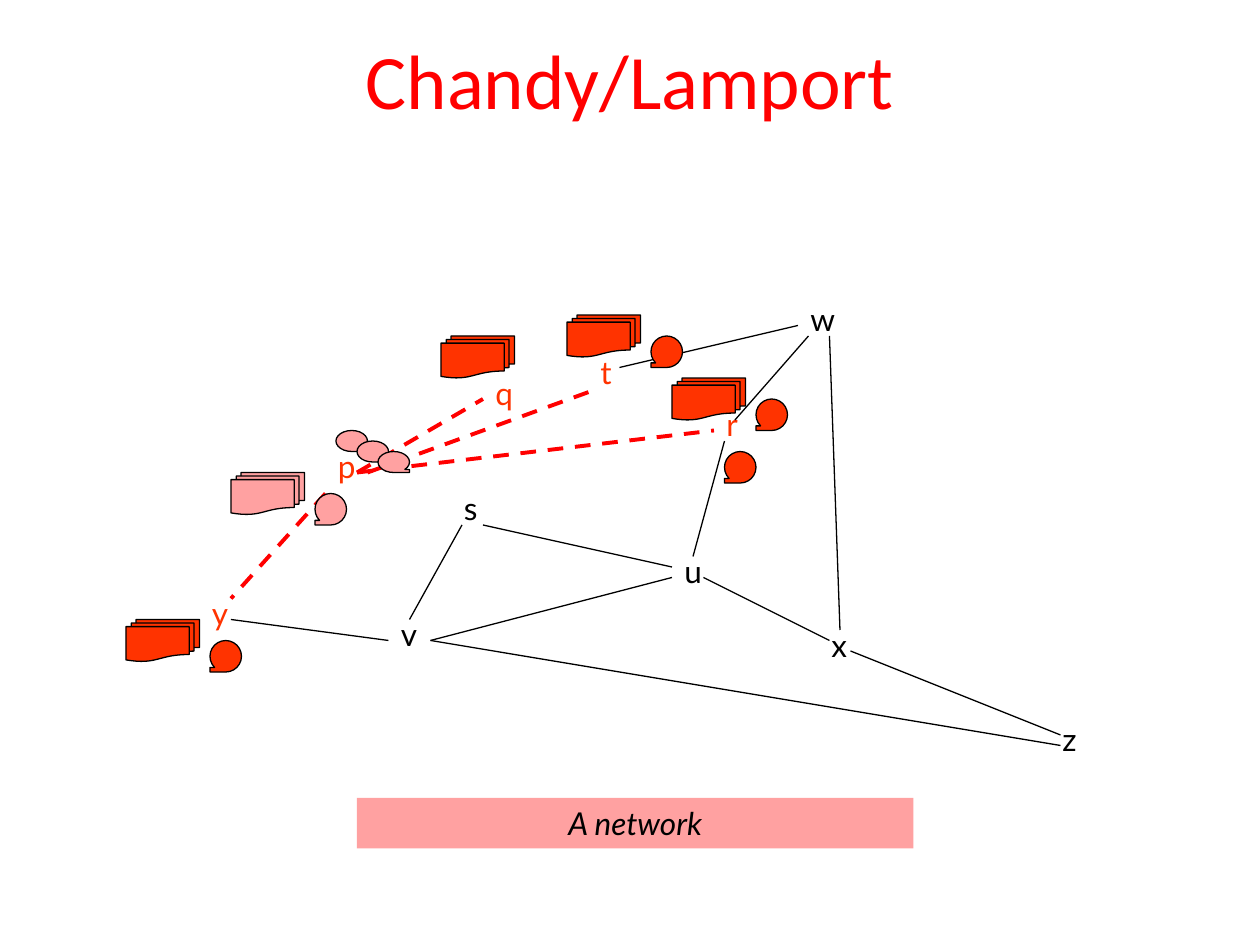
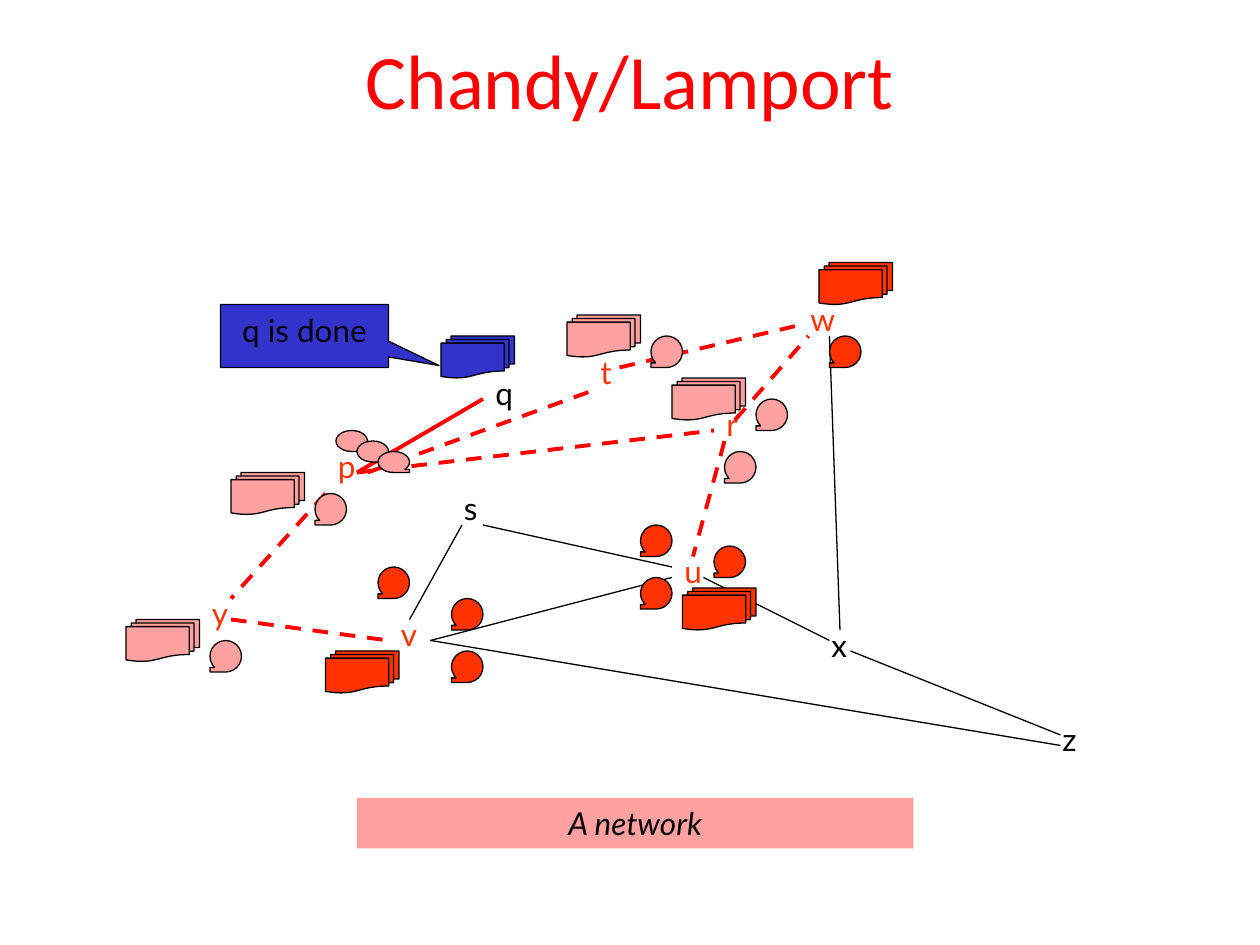
from pptx import Presentation
from pptx.util import Inches, Pt
from pptx.dml.color import RGBColor
from pptx.enum.dml import MSO_LINE
from pptx.enum.shapes import MSO_CONNECTOR, MSO_SHAPE
from pptx.enum.text import MSO_ANCHOR, PP_ALIGN
from pptx.oxml.ns import qn
from lxml import etree

TITLE_RED = RGBColor(0xFF, 0x00, 0x00)
RED = RGBColor(0xFF, 0x33, 0x00)    # node has just been reached
PINK = RGBColor(0xFF, 0xA1, 0xA1)   # node has passed the marker on
BLUE = RGBColor(0x33, 0x33, 0xCC)   # node is done
BLACK = RGBColor(0x00, 0x00, 0x00)

CELL = Inches(10) // 120  # grid of 120 columns by 90 rows

# Network on the grid: labels, and edges as x1, y1, x2, y2
NODES = {"p": (31, 42), "q": (46, 35), "r": (68, 38), "s": (43, 46),
         "t": (56, 33), "u": (64, 52), "v": (37, 58), "w": (76, 28),
         "x": (78, 59), "y": (19, 56), "z": (100, 68)}
EDGES = {"py": (31, 47, 22, 57), "yv": (22, 59, 37, 61), "sv": (44, 50, 39, 59),
         "pr": (34, 45, 68, 41), "pq": (34, 45, 46, 38), "pt": (35, 45, 57, 37),
         "rw": (70, 40, 77, 32), "ru": (69, 42, 66, 53), "vz": (41, 61, 101, 71),
         "vu": (41, 61, 64, 55), "tw": (59, 35, 76, 31), "wx": (79, 32, 80, 60),
         "ux": (67, 55, 79, 61), "su": (46, 50, 64, 54), "xz": (81, 62, 101, 70)}

# Saved states (documents) and channel records (tapes) of each node
DOCS = {"p": (22, 45), "y": (12, 59), "q": (42, 32), "t": (54, 30),
        "r": (64, 36), "v": (31, 62), "w": (78, 25), "u": (65, 56)}
TAPES = {"p": [(30, 47)], "y": [(20, 61)], "t": [(62, 32)],
         "r": [(72, 38), (69, 43)], "v": [(43, 57), (43, 62), (36, 54)],
         "u": [(68, 52), (61, 55), (61, 50)], "w": [(79, 32)]}
P_TAPES = [(32 + 2 * i, 41 + i) for i in range(3)]

# Colour of the reached nodes on each slide
STAGES = [
    {"p": PINK, "y": RED, "q": RED, "t": RED, "r": RED},
    {"p": PINK, "y": PINK, "q": BLUE, "t": PINK, "r": PINK,
     "v": RED, "w": RED, "u": RED},
]


def add_text(sp, text, size=18, name="Lato", color=BLACK, italic=False,
             align=PP_ALIGN.LEFT, anchor=MSO_ANCHOR.TOP):
    tf = sp.text_frame
    tf.word_wrap = True
    tf.vertical_anchor = anchor
    p = tf.paragraphs[0]
    p.alignment = align
    r = p.add_run()
    r.text = text
    for key, value in {"size": Pt(size), "name": name, "italic": italic}.items():
        setattr(r.font, key, value)
    r.font.color.rgb = color


def add_figure(s, kind, x, y, w, h, fill, line=True, flip=False):
    sp = s.shapes.add_shape(kind, *(int(v * CELL) for v in (x, y, w, h)))
    sp.shadow.inherit = False
    sp.fill.solid()
    sp.fill.fore_color.rgb = fill
    if line:
        sp.line.color.rgb = BLACK
        sp.line.width = Pt(0.75)
    else:
        sp.line.fill.background()
    if flip:
        sp._element.spPr.find(qn("a:xfrm")).set("flipH", "1")
    return sp


prs = Presentation()
prs.slide_width, prs.slide_height = 120 * CELL, 90 * CELL

for stage in STAGES:
    s = prs.slides.add_slide(prs.slide_layouts[6])

    # Title
    sp = s.shapes.add_textbox(0, 0, 120 * CELL, 15 * CELL)
    add_text(sp, "Chandy/Lamport", 44, "Calibri", TITLE_RED,
             align=PP_ALIGN.CENTER, anchor=MSO_ANCHOR.MIDDLE)

    # Node labels: red while the node takes part
    for node, (x, y) in NODES.items():
        sp = s.shapes.add_textbox(x * CELL, y * CELL, 5 * CELL, Inches(0.4))
        active = stage.get(node) in (RED, PINK)
        add_text(sp, node, color=RED if active else BLACK)

    # Edges: red once the start node passed the marker, solid when the end is done
    for (start, end), ends in EDGES.items():
        cx = s.shapes.add_connector(MSO_CONNECTOR.STRAIGHT, *(v * CELL for v in ends))
        etree.SubElement(cx._element.spPr, qn("a:effectLst"))
        marked = stage.get(start) == PINK
        cx.line.color.rgb = TITLE_RED if marked else BLACK
        cx.line.width = Pt(2.25 if marked else 0.75)
        if marked and stage.get(end) != BLUE:
            cx.line.dash_style = MSO_LINE.DASH

    # Caption band
    sp = add_figure(s, MSO_SHAPE.RECTANGLE, 34, 76, 53, 4.8, PINK, line=False)
    add_text(sp, "A network", italic=True, align=PP_ALIGN.CENTER)

    # Documents and tapes
    for x, y in P_TAPES:
        add_figure(s, MSO_SHAPE.FLOWCHART_SEQUENTIAL_ACCESS_STORAGE, x, y, 3, 2, PINK)
    for node, color in stage.items():
        add_figure(s, MSO_SHAPE.FLOWCHART_MULTIDOCUMENT, *DOCS[node], 7, 4, color)
        for x, y in TAPES.get(node, []):
            add_figure(s, MSO_SHAPE.FLOWCHART_SEQUENTIAL_ACCESS_STORAGE,
                       x, y, 3, 3, color, flip=True)

    # Callout beside a finished node
    if stage["q"] == BLUE:
        sp = add_figure(s, MSO_SHAPE.RECTANGULAR_CALLOUT, 21, 29, 16, 6, BLUE)
        sp.adjustments[0], sp.adjustments[1] = 0.8, 0.47
        add_text(sp, "q is done", align=PP_ALIGN.CENTER)

prs.save("out.pptx")
